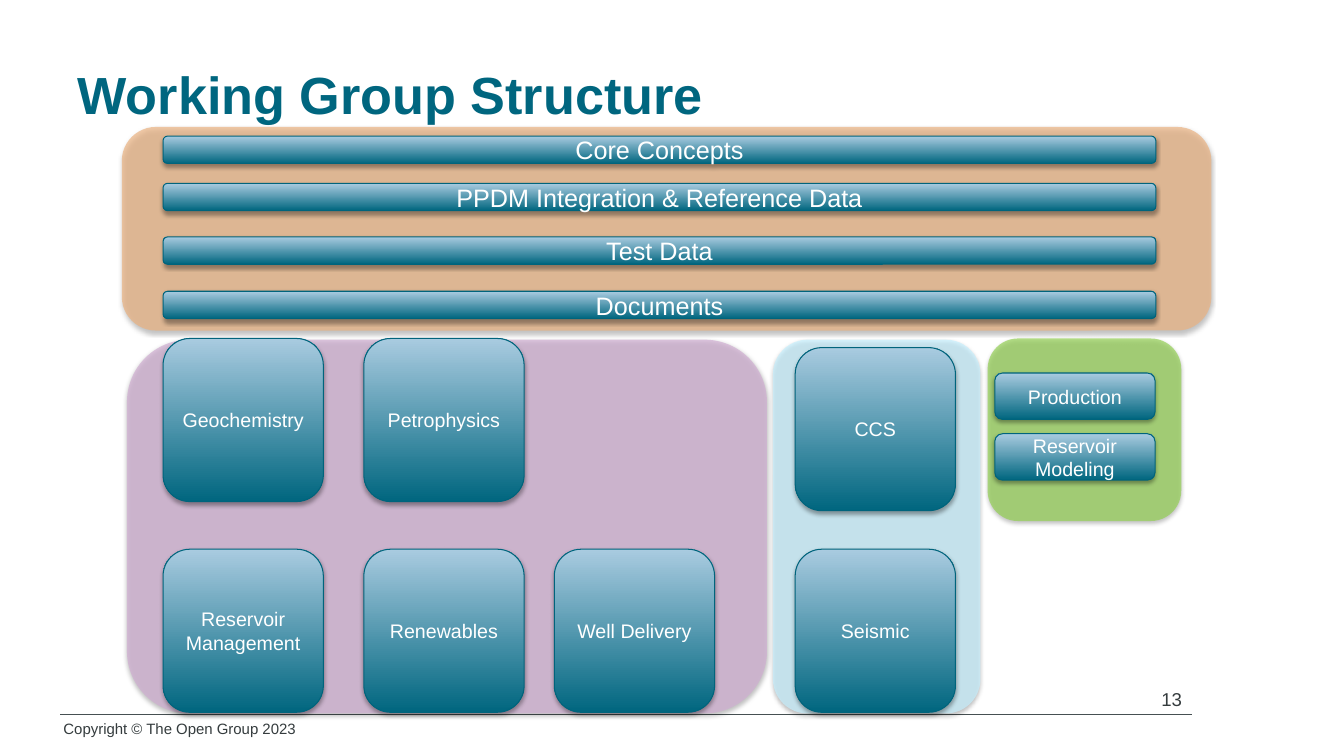
import pptx
import pptx.util
import pptx.dml.color
import pptx.enum.shapes
import pptx.enum.text
import pptx.oxml.ns
import lxml.etree

Cm, Pt = pptx.util.Cm, pptx.util.Pt
ALIGN = pptx.enum.text.PP_ALIGN
ANCHOR = pptx.enum.text.MSO_ANCHOR

TITLE = "Working Group Structure"
COPYRIGHT = "Copyright © The Open Group 2023"
PAGE_NUMBER = "13"

PANELS = [
    ("EBB17E", 3.07, 3.2, 27.46, 5.13),
    ("D0ADD2", 3.2, 8.56, 16.13, 9.42),
    ("C5F0FF", 19.48, 8.56, 5.23, 9.42),
    ("92D050", 24.89, 8.53, 4.88, 4.6),
]
BARS = [
    ("Core Concepts", 3.43),
    ("PPDM Integration & Reference Data", 4.62),
    ("Test Data", 5.97),
    ("Documents", 7.34),
]
COLUMNS = [4.11, 9.17, 13.97, 20.04, 25.07]
TOP_ROW, CCS_ROW, BOTTOM_ROW = 8.53, 8.76, 13.84
TILES = [
    ("Geochemistry", 0, TOP_ROW),
    ("Petrophysics", 1, TOP_ROW),
    ("CCS", 3, CCS_ROW),
    ("Reservoir Management", 0, BOTTOM_ROW),
    ("Renewables", 1, BOTTOM_ROW),
    ("Well Delivery", 2, BOTTOM_ROW),
    ("Seismic", 3, BOTTOM_ROW),
]
SMALL_TILES = [("Production", 9.4), ("Reservoir Modeling", 10.93)]
BAR_WIDTH, BAR_HEIGHT = 25.02, 0.69
TILE_WIDTH, TILE_HEIGHT, SMALL_HEIGHT = 4.04, 4.11, 1.17


def color(value):
    return pptx.dml.color.RGBColor.from_string(value)


def add_element(parent, tag, **attributes):
    return lxml.etree.SubElement(parent, pptx.oxml.ns.qn(tag), attributes)


def write(shape, text, size, ink, align, anchor, bold=False):
    frame = shape.text_frame
    frame.text = text
    frame.word_wrap = True
    frame.vertical_anchor = anchor
    para = frame.paragraphs[0]
    para.alignment = align
    font = para.runs[0].font
    font.name, font.size, font.bold = "Arial", Pt(size), bold
    font.color.rgb = color(ink)


def add_rounded(page, left, top, width, height):
    box = page.shapes.add_shape(
        pptx.enum.shapes.MSO_SHAPE.ROUNDED_RECTANGLE,
        Cm(left), Cm(top), Cm(width), Cm(height))
    box.shadow.inherit = False
    effects = box._element.spPr.find(pptx.oxml.ns.qn("a:effectLst"))
    shadow = add_element(effects, "a:outerShdw", blurRad="40000", dist="23000",
                         dir="5400000", rotWithShape="0")
    black = add_element(shadow, "a:srgbClr", val="000000")
    add_element(black, "a:alpha", val="35000")
    return box


def add_panel(page, fill, left, top, width, height):
    panel = add_rounded(page, left, top, width, height)
    panel.fill.solid()
    panel.fill.fore_color.rgb = color(fill)
    panel.line.fill.background()
    tint = panel._element.spPr.find(".//" + pptx.oxml.ns.qn("a:srgbClr"))
    add_element(tint, "a:alpha", val="68000")


def add_group(page, text, size, left, top, width, height):
    box = add_rounded(page, left, top, width, height)
    box.fill.gradient()
    box.fill.gradient_angle = 90
    for stop, shade in zip(box.fill.gradient_stops, ("00667F", "A9CBE0")):
        stop.color.rgb = color(shade)
    box.line.color.rgb = color("00647C")
    box.line.width = Pt(0.75)
    write(box, text, size, "FFFFFF", ALIGN.CENTER, ANCHOR.MIDDLE)


def add_label(page, text, size, align, left, top, width, height):
    label = page.shapes.add_textbox(Cm(left), Cm(top), Cm(width), Cm(height))
    write(label, text, size, "353C3E", align, ANCHOR.TOP)


def add_footer_line(page):
    line = page.shapes.add_connector(
        pptx.enum.shapes.MSO_CONNECTOR.STRAIGHT,
        Cm(1.52), Cm(18.01), Cm(30.05), Cm(18.01))
    line.line.color.rgb = color("465052")
    line.line.width = Pt(0.5)
    add_element(line._element.spPr, "a:effectLst")


def main():
    deck = pptx.Presentation()
    deck.slide_width, deck.slide_height = Cm(33.87), Cm(19.05)
    page = deck.slides.add_slide(deck.slide_layouts[5])

    title = page.shapes.title
    title.left, title.top, title.width, title.height = Cm(1.7), Cm(0.76), Cm(30.48), Cm(3.18)
    write(title, TITLE, 37.3, "00667F", ALIGN.LEFT, ANCHOR.MIDDLE, bold=True)
    title.text_frame.auto_size = pptx.enum.text.MSO_AUTO_SIZE.NONE

    add_label(page, COPYRIGHT, 10.7, ALIGN.LEFT, 1.35, 18.01, 8.97, 0.71)
    add_footer_line(page)
    for panel in PANELS:
        add_panel(page, *panel)
    add_label(page, PAGE_NUMBER, 13.3, ALIGN.CENTER, 25.58, 17.22, 7.9, 1.02)

    for text, top in BARS:
        add_group(page, text, 18, COLUMNS[0], top, BAR_WIDTH, BAR_HEIGHT)
    for text, column, top in TILES:
        add_group(page, text, 14, COLUMNS[column], top, TILE_WIDTH, TILE_HEIGHT)
    for text, top in SMALL_TILES:
        add_group(page, text, 14, COLUMNS[-1], top, TILE_WIDTH, SMALL_HEIGHT)

    deck.save("out.pptx")


if __name__ == "__main__":
    main()
